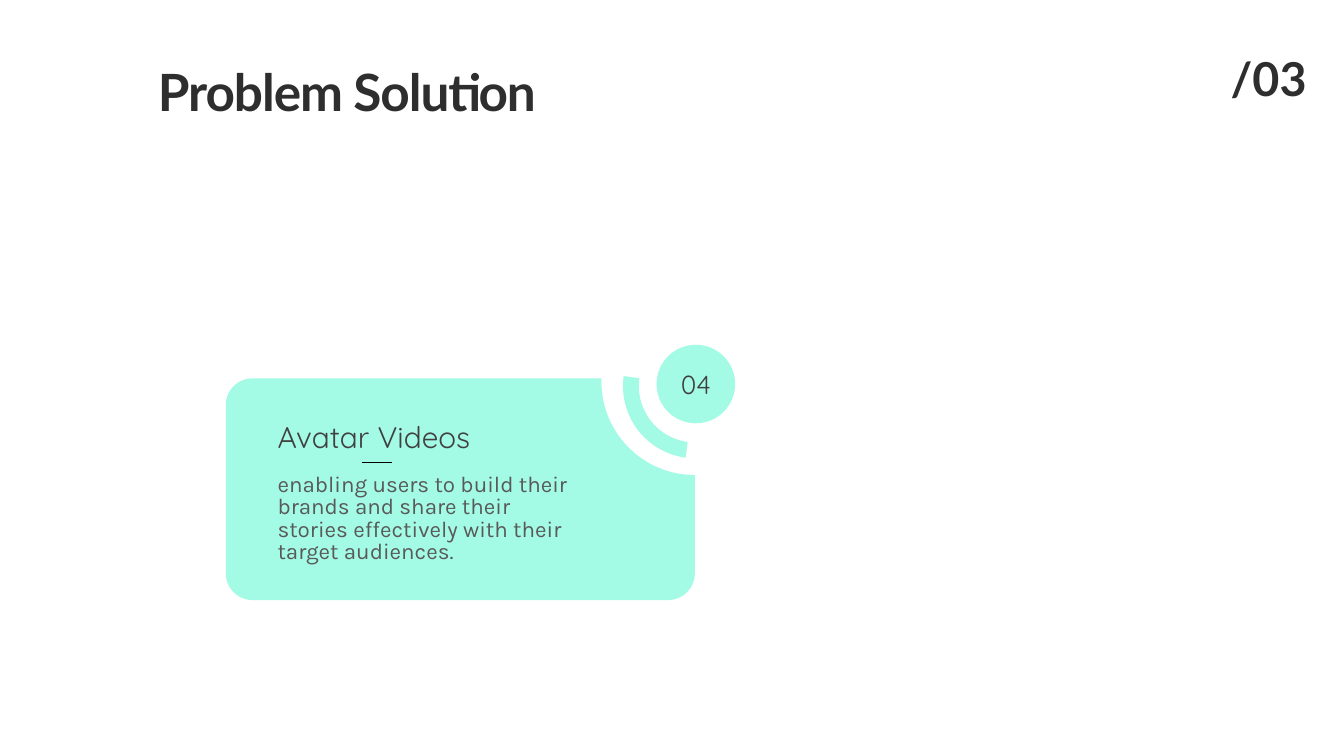
import math

import pptx
import pptx.dml.color
import pptx.enum.shapes
import pptx.enum.text
import pptx.oxml.ns
import pptx.util
from lxml import etree

PX = 9144  # EMU per px, 100 px to the inch
MINT, INK, GREY, BODY = "A3FBE5", "2E2E2E", "404040", "595959"
ALIGN = pptx.enum.text.PP_ALIGN
ANCHOR = pptx.enum.text.MSO_ANCHOR
SHAPE = pptx.enum.shapes.MSO_SHAPE

TITLE = dict(text="Problem Solution", at=(235, 74, 583, 97), spacing=77, color=INK,
             font=dict(name="Lato", size=55, bold=True))
LABELS = [
    dict(text="/03", at=(1798, 60, 180, 89), spacing=70, color=INK, align=ALIGN.CENTER,
         font=dict(name="Lato", size=50, bold=True)),
    dict(text="Avatar Videos", at=(413, 599, 638, 70), spacing=56, color=GREY,
         font=dict(name="Quicksand", size=32)),
    dict(text="enabling users to build their brands and share their stories "
              "effectively with their target audiences.",
         at=(413, 706, 438, 136), spacing=24, color=BODY,
         font=dict(name="Karla", size=24)),
]
BADGE = dict(text="04", at=(977, 513, 117, 117), color=GREY, align=ALIGN.CENTER,
             font=dict(name="Quicksand", size=28))
RING = dict(at=(927, 467, 215, 215), turn=277.6, adjustments=(108, 162.215, 0.11))
CARD = dict(left=336, top=563, right=1034, bottom=893, corner=40)
NOTCH = dict(x=1034, y=568, radius=139)
RULE = (538, 688, 584, 688)


def emu(lengths):
    return [round(length * PX) for length in lengths]


def rgb(value):
    return pptx.dml.color.RGBColor.from_string(value)


def write(shape, item):
    frame = shape.text_frame
    frame.word_wrap = True
    para = frame.paragraphs[0]
    para.alignment = item.get("align", ALIGN.LEFT)
    if "spacing" in item:
        para.line_spacing = pptx.util.Pt(item["spacing"])
    span = para.add_run()
    span.text = item["text"]
    for key, value in item["font"].items():
        setattr(span.font, key, pptx.util.Pt(value) if key == "size" else value)
    span.font.color.rgb = rgb(item["color"])
    return span


def trim(frame):
    """Removes the insets and sets the text at the top."""
    for side in ("left", "top", "right", "bottom"):
        setattr(frame, f"margin_{side}", 0)
    frame.vertical_anchor = ANCHOR.TOP


def paint(shape):
    shape.shadow.inherit = False
    shape.fill.solid()
    shape.fill.fore_color.rgb = rgb(MINT)
    shape.line.fill.background()


def arc(x, y, radius, start, end, steps=32):
    """Points along a circle, with angles in degrees clockwise from the right."""
    angles = [math.radians(start + (end - start) * i / steps) for i in range(steps + 1)]
    return [(x + radius * math.cos(a), y + radius * math.sin(a)) for a in angles]


def card_outline():
    r = CARD["corner"]
    left, right = CARD["left"] + r, CARD["right"] - r
    top, bottom = CARD["top"] + r, CARD["bottom"] - r
    rise = math.degrees(math.asin((NOTCH["y"] - CARD["top"]) / NOTCH["radius"]))
    return (arc(right, bottom, r, 90, 0)
            + arc(NOTCH["x"], NOTCH["y"], NOTCH["radius"], 90, 180 + rise)
            + arc(left, top, r, 270, 180)
            + arc(left, bottom, r, 180, 90))


def main():
    deck = pptx.Presentation()
    deck.slide_width, deck.slide_height = emu((2000, 1125))
    page = deck.slides.add_slide(deck.slide_layouts[5])
    shapes = page.shapes

    title = shapes.title
    title.left, title.top, title.width, title.height = emu(TITLE["at"])
    trim(title.text_frame)
    title.text_frame.auto_size = pptx.enum.text.MSO_AUTO_SIZE.NONE
    write(title, TITLE).font._element.set("spc", "-110")

    ring = shapes.add_shape(SHAPE.BLOCK_ARC, *emu(RING["at"]))
    for i, value in enumerate(RING["adjustments"]):
        ring.adjustments[i] = value
    ring.rotation = RING["turn"]
    paint(ring)

    badge = shapes.add_shape(SHAPE.OVAL, *emu(BADGE["at"]))
    paint(badge)
    badge.text_frame.vertical_anchor = ANCHOR.MIDDLE
    write(badge, BADGE)

    points = [emu(point) for point in card_outline()]
    outline = shapes.build_freeform(*points[0])
    outline.add_line_segments(points[1:], close=True)
    paint(outline.convert_to_shape())

    for label in LABELS:
        box = shapes.add_textbox(*emu(label["at"]))
        trim(box.text_frame)
        write(box, label)

    rule = shapes.add_connector(pptx.enum.shapes.MSO_CONNECTOR.STRAIGHT, *emu(RULE))
    rule.line.color.rgb = rgb("000000")
    rule.line.width = pptx.util.Pt(0.75)
    etree.SubElement(rule._element.spPr, pptx.oxml.ns.qn("a:effectLst"))

    deck.save("out.pptx")


if __name__ == "__main__":
    main()
